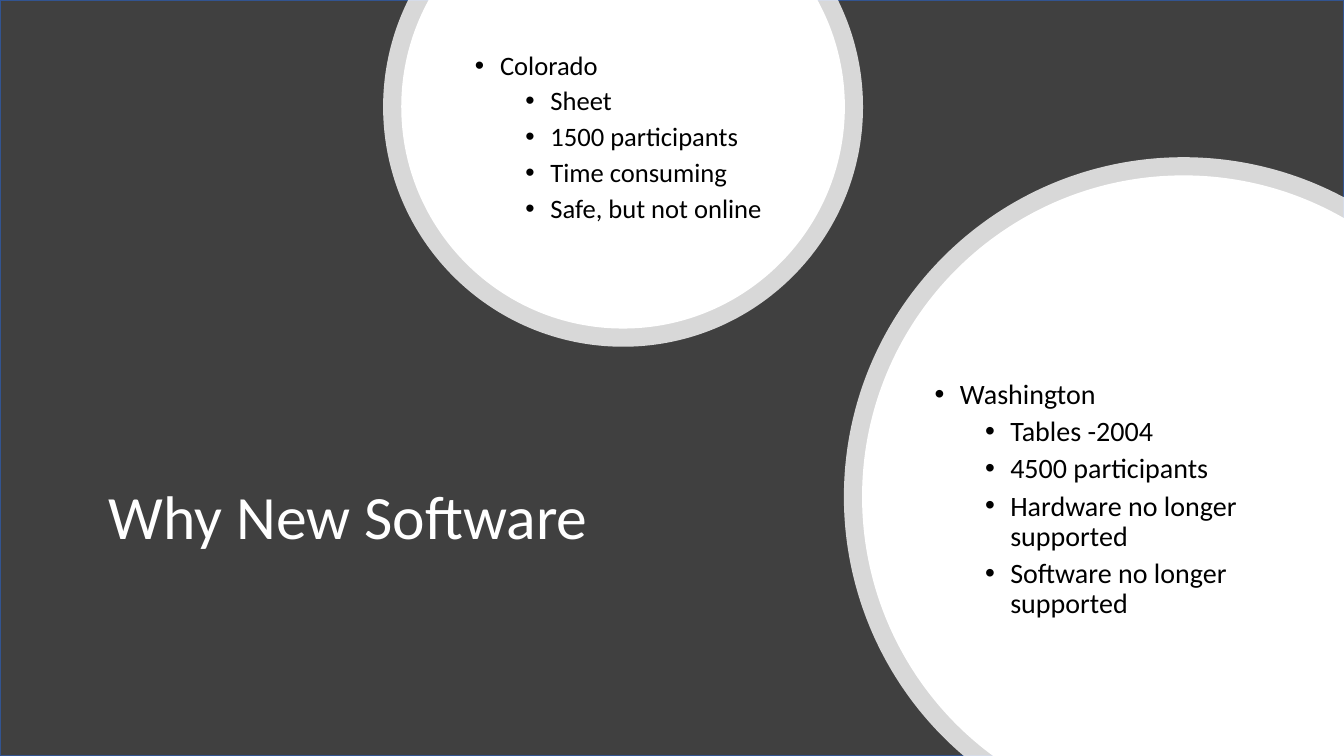
from math import acos, asin, cos, pi, sin, tan

from lxml.etree import SubElement
from pptx import Presentation
from pptx.dml.color import RGBColor
from pptx.enum.shapes import MSO_SHAPE as SHAPE
from pptx.enum.text import MSO_ANCHOR as ANCHOR, MSO_AUTO_SIZE as AUTO, PP_ALIGN as ALIGN
from pptx.oxml.ns import qn
from pptx.util import Inches, Pt

W, H = 13.33, 7.5
RING = 0.18
FONT = "Calibri"
COLORS = {"backdrop": "404040", "edge": "325491", "white": "FFFFFF", "text": "000000"}


def rgb(name):
    """Return the named palette colour."""
    return RGBColor.from_string(COLORS[name])


def add_backdrop(s, box):
    """Fill the box with the dark rectangle."""
    sp = s.shapes.add_shape(SHAPE.RECTANGLE, *map(Inches, box))
    sp.shadow.inherit = False
    sp.fill.solid()
    sp.fill.fore_color.rgb = rgb("backdrop")
    sp.line.color.rgb = rgb("edge")
    sp.line.width = Pt(1)


def arc_points(cx, cy, radius, angles):
    """Return the start, control and end points of curves through the angles."""
    pts = [(cx + radius * cos(angles[0]), cy + radius * sin(angles[0]))]
    for a, b in zip(angles, angles[1:]):
        k = 4 / 3 * tan((b - a) / 4)
        pts += [(cx + radius * (cos(a) - k * sin(a)), cy + radius * (sin(a) + k * cos(a))),
                (cx + radius * (cos(b) + k * sin(b)), cy + radius * (sin(b) - k * cos(b))),
                (cx + radius * cos(b), cy + radius * sin(b))]
    return pts


def add_disc(s, cx, cy, radius, opacity=100):
    """Draw a white disc cut off at the top edge or the bottom right corner."""
    if cy < radius:
        cut = asin(cy / radius)
        angles, corner = [-cut, 0, pi / 2, pi, pi + cut], []
    else:
        bottom, right = asin((H - cy) / radius), acos((W - cx) / radius)
        angles, corner = [pi - bottom, pi, 1.5 * pi, 2 * pi - right], [(W, H)]
    pts = [(Inches(x), Inches(y)) for x, y in arc_points(cx, cy, radius, angles) + corner]
    fb = s.shapes.build_freeform(*pts[0], scale=1.0)
    fb.add_line_segments(pts[1:], close=True)
    sp = fb.convert_to_shape()
    lines = list(sp._element.iter(qn("a:lnTo")))
    for i in range(0, 3 * (len(angles) - 1), 3):
        first, *rest = lines[i:i + 3]
        first.tag = qn("a:cubicBezTo")
        for ln in rest:
            first.append(ln[0])
            ln.getparent().remove(ln)
    sp.shadow.inherit = False
    sp.line.fill.background()
    sp.fill.solid()
    sp.fill.fore_color.rgb = rgb("white")
    if opacity < 100:
        clr = sp._element.spPr.find(qn("a:solidFill"))[0]
        SubElement(clr, qn("a:alpha"), val=str(opacity * 1000))


def add_text(p, text, size, color="text", before=0):
    """Write one formatted line into a paragraph."""
    p.alignment = ALIGN.LEFT
    p.line_spacing = 0.9
    p.space_before = Pt(before)
    r = p.add_run()
    r.text = text
    r.font.name = FONT
    r.font.size = Pt(size)
    r.font.color.rgb = rgb(color)


def place(s, ph, box):
    """Move a placeholder into the box, in front of the shapes, and return its frame."""
    ph.left, ph.top, ph.width, ph.height = map(Inches, box)
    s.shapes._spTree.append(ph._element)
    tf = ph.text_frame
    tf.word_wrap = True
    tf.auto_size = AUTO.NONE
    tf.vertical_anchor = ANCHOR.MIDDLE
    return tf


def add_title(s, box, text):
    """Set the slide title."""
    add_text(place(s, s.shapes.title, box).paragraphs[0], text, 44, "white")


def add_list(s, ph, box, size, heading, items):
    """Set a bulleted heading with its indented items."""
    tf = place(s, ph, box)
    for i, text in enumerate([heading, *items]):
        p = tf.add_paragraph() if i else tf.paragraphs[0]
        p.level = 1 if i else 0
        add_text(p, text, size, before=5 if i else 10)
        pPr = p._p.get_or_add_pPr()
        pPr.set("marL", str(Inches(0.75 if i else 0.25)))
        pPr.set("indent", str(Inches(-0.25)))
        SubElement(pPr, qn("a:buFont"), typeface="Arial")
        SubElement(pPr, qn("a:buChar"), char="•")


def add_state(s, ph, disc, box, size, heading, items):
    """Draw a ringed disc and the list of one state on it."""
    cx, cy, radius = disc
    add_disc(s, cx, cy, radius, opacity=80)
    add_disc(s, cx, cy, radius - RING)
    add_list(s, ph, box, size, heading, items)


def main():
    """Build the slide and save it."""
    prs = Presentation()
    prs.slide_width, prs.slide_height = Inches(W), Inches(H)
    s = prs.slides.add_slide(prs.slide_layouts[3])
    colorado, washington = s.placeholders[1], s.placeholders[2]
    add_backdrop(s, (0, 0, W, H))
    add_title(s, (0.84, 3.83, 6.62, 2.65), " Why New Software")
    add_state(s, colorado, (6.18, 1.06, 2.38), (4.61, 0.39, 3.15, 1.96), 19, "Colorado",
              ["Sheet", "1500 participants", "Time consuming", "Safe, but not online"])
    add_state(s, washington, (11.74, 4.93, 3.37), (9.17, 3.44, 3.8, 3.04), 20, "Washington",
              ["Tables -2004", "4500 participants", "Hardware no longer supported",
               "Software no longer supported"])
    prs.save("out.pptx")


if __name__ == "__main__":
    main()
